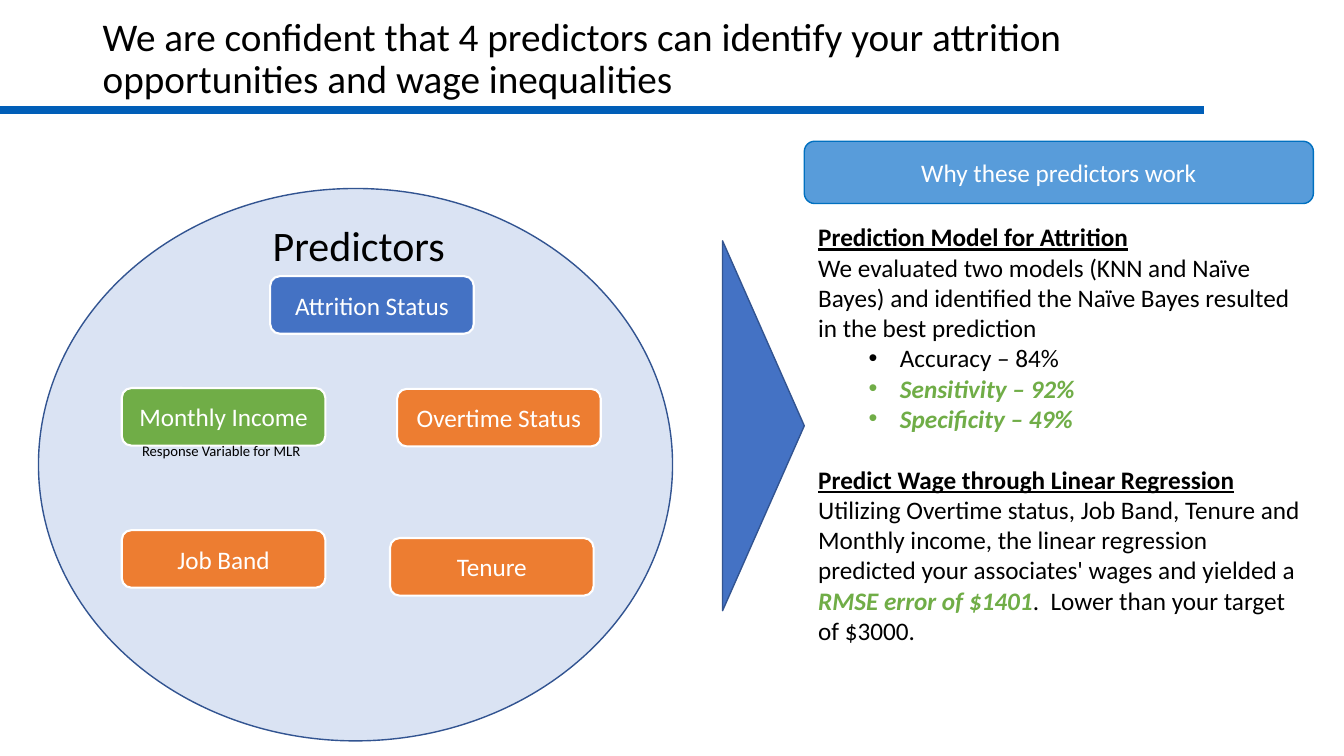
from dataclasses import dataclass, field
from typing import Any

from lxml import etree
from pptx import Presentation
from pptx import util as u
from pptx.dml.color import RGBColor
from pptx.enum import shapes, text
from pptx.oxml import ns


@dataclass(frozen=True)
class Theme:
    font: str = "Calibri"
    black: str = "000000"
    white: str = "FFFFFF"
    rule: str = "005EB8"
    blue: str = "4472C4"
    outline: str = "325491"
    pale: str = "DAE3F3"
    orange: str = "ED7D31"
    green: str = "70AD47"
    header: str = "589CDA"
    header_line: str = "0070C0"
    title_size: float = 28
    circle_size: float = 30
    body_size: float = 18
    caption_size: float = 10.5


THEME = Theme()
KIND = shapes.MSO_SHAPE
CENTER = text.PP_ALIGN.CENTER
MIDDLE = text.MSO_ANCHOR.MIDDLE
GROW = text.MSO_AUTO_SIZE.SHAPE_TO_FIT_TEXT
Box = tuple[float, float, float, float]  # left, top, width, height in cm


@dataclass(frozen=True)
class Span:
    words: str
    color: str = THEME.black
    size: float = THEME.body_size
    style: dict[str, Any] = field(default_factory=dict)


@dataclass(frozen=True)
class Para:
    spans: list[Span]
    bullet: bool = False
    style: dict[str, Any] = field(default_factory=dict)


@dataclass(frozen=True)
class Block:
    kind: Any
    place: Box
    fill: str
    line: str
    line_width: float = 1
    label: str = ""


@dataclass(frozen=True)
class Note:
    place: Box
    paras: list[Para]
    frame: dict[str, Any]


def apply(target: Any, values: dict[str, Any]) -> None:
    for name, value in values.items():
        setattr(target, name, value)


def lengths(place: Box) -> list[u.Length]:
    return [u.Cm(value) for value in place]


def add_bullet(para: Any) -> None:
    para.level = 1
    props = para._p.get_or_add_pPr()
    props.set("marL", str(u.Cm(2.06)))
    props.set("indent", str(u.Cm(-0.79)))
    etree.SubElement(props, ns.qn("a:buFont")).set("typeface", "Arial")
    etree.SubElement(props, ns.qn("a:buChar")).set("char", "•")


def write(frame: Any, paras: list[Para], values: dict[str, Any]) -> None:
    apply(frame, values)
    for index, item in enumerate(paras):
        para = frame.add_paragraph() if index else frame.paragraphs[0]
        apply(para, item.style)
        if item.bullet:
            add_bullet(para)
        for span in item.spans:
            run = para.add_run()
            run.text = span.words
            apply(run.font, {"name": THEME.font, "size": u.Pt(span.size), **span.style})
            run.font.color.rgb = RGBColor.from_string(span.color)


def draw_block(page: Any, block: Block) -> Any:
    shape = page.shapes.add_shape(block.kind, *lengths(block.place))
    shape.shadow.inherit = False
    shape.fill.solid()
    shape.fill.fore_color.rgb = RGBColor.from_string(block.fill)
    shape.line.color.rgb = RGBColor.from_string(block.line)
    shape.line.width = u.Pt(block.line_width)
    if block.label:
        label = Para([Span(block.label, THEME.white)], style={"alignment": CENTER})
        write(shape.text_frame, [label], {"word_wrap": True, "vertical_anchor": MIDDLE})
    return shape


def draw_note(page: Any, note: Note) -> None:
    box = page.shapes.add_textbox(*lengths(note.place))
    write(box.text_frame, note.paras, note.frame)


def draw_rule(page: Any) -> None:
    rule = page.shapes.add_connector(
        shapes.MSO_CONNECTOR.STRAIGHT, *lengths((0, 2.77, 30.35, 2.77)))
    rule.line.color.rgb = RGBColor.from_string(THEME.rule)
    rule.line.width = u.Pt(6)
    etree.SubElement(rule._element.spPr, ns.qn("a:effectLst"))


def chip(left: float, top: float, fill: str, label: str) -> Block:
    return Block(KIND.FLOWCHART_ALTERNATE_PROCESS, (left, top, 5.13, 1.45),
                 fill, THEME.white, 1.5, label)


HEADING = {"bold": True, "underline": True}
STRONG = {"bold": True, "italic": True}

TITLE = Note((2.34, 0.38, 29.21, 2.26), [Para([Span(
    "We are confident that 4 predictors can identify your attrition "
    "opportunities and wage inequalities", size=THEME.title_size)],
    style={"line_spacing": 0.9})], {"word_wrap": True, "vertical_anchor": MIDDLE})

CIRCLE = Block(KIND.OVAL, (0.97, 4.75, 15.98, 13.92), THEME.pale, THEME.outline)
CIRCLE_NAME = Note(
    (6.15, 5.41, 5.79, 1.55),
    [Para([Span("Predictors", size=THEME.circle_size)], style={"alignment": CENTER})],
    {"word_wrap": True, "auto_size": GROW})

CHIPS = [
    chip(6.81, 6.96, THEME.blue, "Attrition Status"),
    chip(10.01, 9.8, THEME.orange, "Overtime Status"),
    chip(3.07, 13.36, THEME.orange, "Job Band"),
    chip(9.83, 13.56, THEME.orange, "Tenure"),
    chip(3.07, 9.78, THEME.green, "Monthly Income"),
]
CAPTION = Note(
    (3.33, 11.02, 4.6, 0.71),
    [Para([Span("Response Variable for MLR", size=THEME.caption_size)])],
    {"word_wrap": False, "auto_size": GROW})

ARROW = Block(KIND.RIGHT_ARROW, (18.21, 6.07, 2.06, 9.32), THEME.blue, THEME.outline)
HEADER = Block(KIND.ROUNDED_RECTANGLE, (20.27, 3.56, 12.83, 1.57), THEME.header,
               THEME.header_line, label="Why these predictors work")

REASONS = Note((20.37, 5.46, 12.65, 11.02), [
    Para([Span("Prediction Model for Attrition", style=HEADING)]),
    Para([Span("We evaluated two models (KNN and Naïve Bayes) and identified "
               "the Naïve Bayes resulted in the best prediction")]),
    Para([Span("Accuracy – 84%")], bullet=True),
    Para([Span("Sensitivity – 92%", THEME.green, style=STRONG)], bullet=True),
    Para([Span("Specificity – 49%", THEME.green, style=STRONG)], bullet=True),
    Para([
        Span("Predict Wage through Linear Regression ", style=HEADING),
        Span("Utilizing Overtime status, Job Band, Tenure and Monthly income, the linear "
             "regression predicted your associates' wages and yielded a "),
        Span("RMSE error of $1401", THEME.green, style=STRONG),
        Span(".  Lower than your target of $3000."),
    ], style={"space_before": u.Pt(22)}),
], {"word_wrap": True, "auto_size": GROW})


def main() -> None:
    deck = Presentation()
    deck.slide_width, deck.slide_height = u.Cm(33.87), u.Cm(19.05)
    page = deck.slides.add_slide(deck.slide_layouts[6])

    # Title and rule
    draw_rule(page)
    draw_note(page, TITLE)

    # Circle of predictors
    draw_block(page, CIRCLE)
    draw_note(page, CIRCLE_NAME)
    for block in CHIPS:
        draw_block(page, block)
    draw_note(page, CAPTION)

    # Arrow that is all head
    arrow = draw_block(page, ARROW)
    arrow.adjustments[1] = 1

    # Reasons
    draw_block(page, HEADER)
    draw_note(page, REASONS)

    deck.save("out.pptx")


if __name__ == "__main__":
    main()
